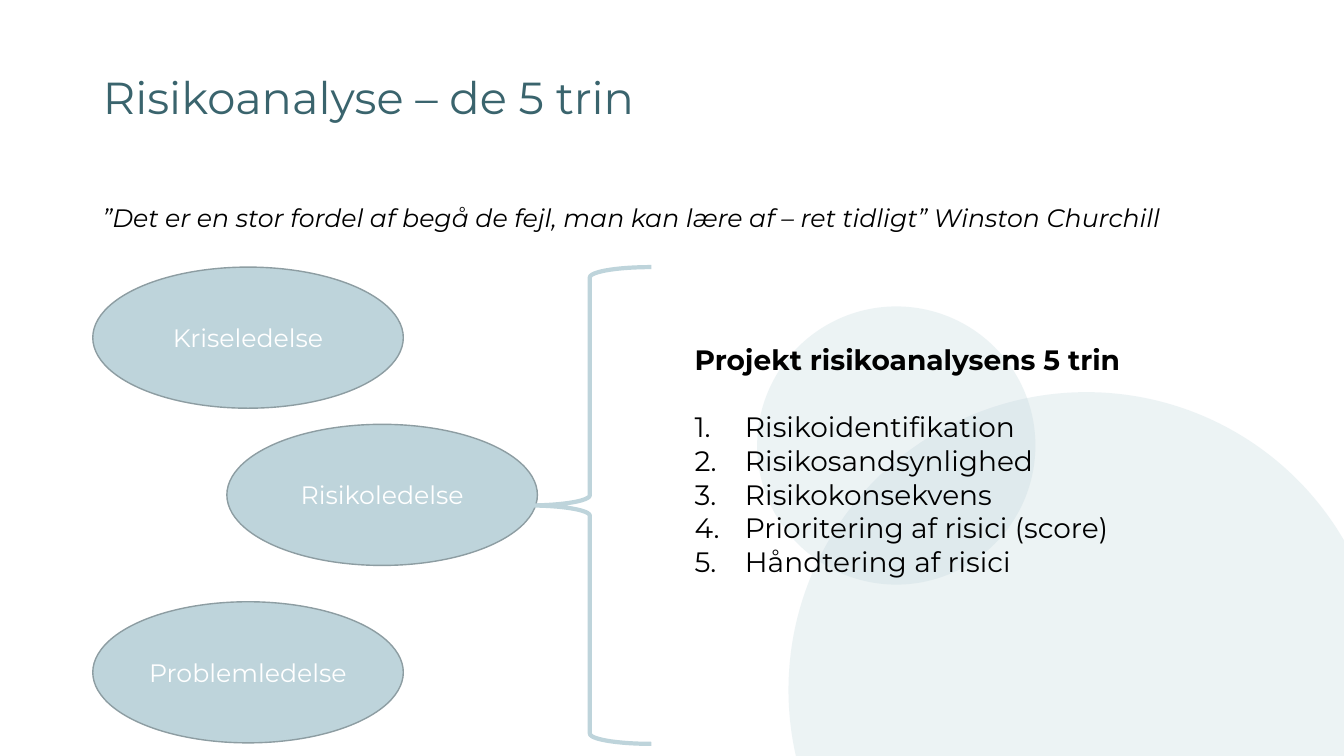
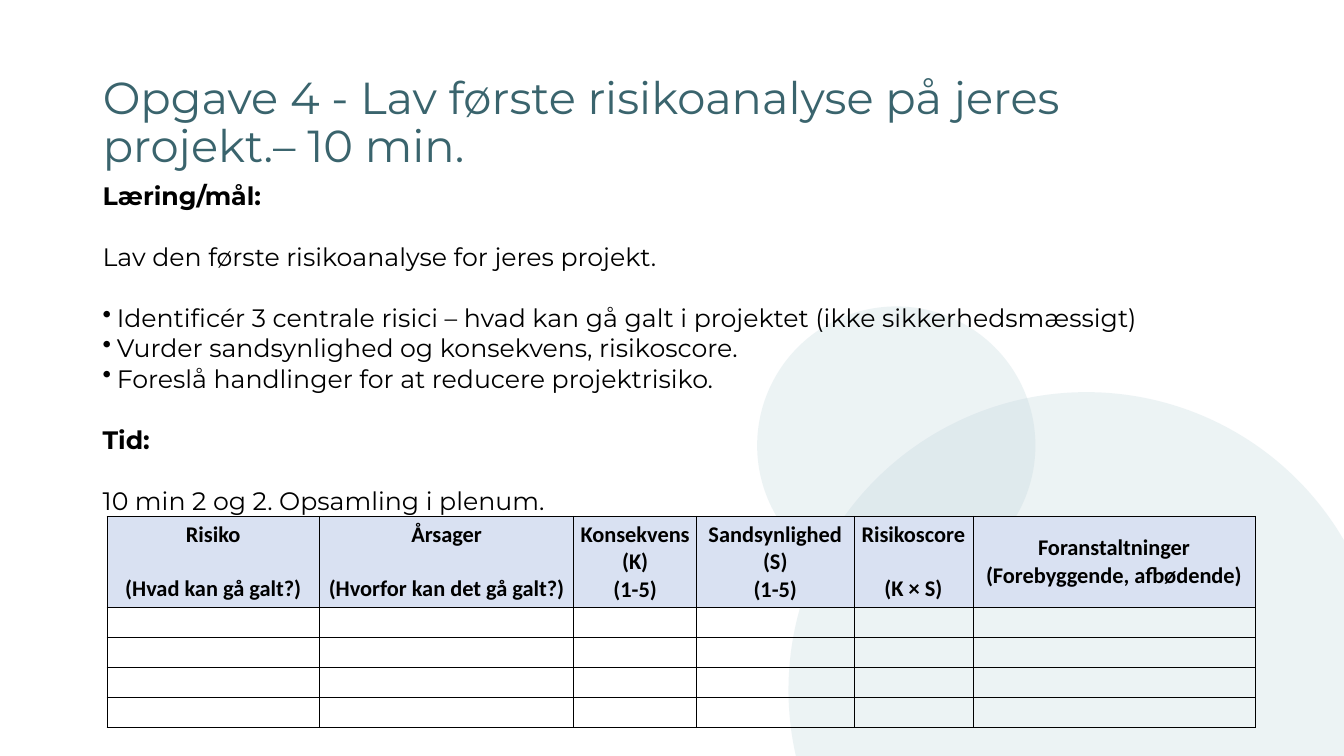
from dataclasses import dataclass
from typing import NamedTuple, Optional

import pptx
import pptx.dml.color
import pptx.enum.shapes
import pptx.enum.text
import pptx.oxml.ns
import pptx.util
from lxml import etree
from pptx.util import Inches

RGB = pptx.dml.color.RGBColor.from_string
SHAPES = pptx.enum.shapes.MSO_SHAPE
ANCHOR = pptx.enum.text.MSO_ANCHOR
ALIGN = pptx.enum.text.PP_ALIGN
qn = pptx.oxml.ns.qn


@dataclass(frozen=True)
class Theme:
    title: str = "3A646D"
    text: str = "000000"
    accent: str = "BED4DB"
    outline: str = "8D9DA2"
    on_accent: str = "FFFFFF"
    header_fill: str = "D9E1F2"
    font: str = "Montserrat"
    table_font: str = "Calibri"
    title_size: int = 32
    steps_size: int = 20
    body_size: int = 18
    table_size: int = 16
    circle_opacity: int = 28


THEME = Theme()


class Box(NamedTuple):
    left: float
    top: float
    width: float
    height: float

    def lengths(self) -> list:
        return [Inches(value) for value in self]


class Line(NamedTuple):
    text: str
    bold: bool = False
    italic: bool = False
    gap: float = 0  # space before, in points
    bullet: Optional[str] = None  # "number" or a bullet character
    indent: float = 0


class Column(NamedTuple):
    width: float
    lines: list
    gap: float = 0  # space between the heading and its explanation


TITLE_BOX = Box(0.92, 0.73, 11.5, 1.01)
CIRCLES = [Box(7.82, 3.89, 5.91, 5.91), Box(7.51, 3.04, 2.76, 2.76)]


# Text helpers
def style(paragraph, size: int, color: str, font: str = THEME.font,
          bold: bool = False, italic: bool = False) -> None:
    paragraph.font.name = font
    paragraph.font.size = pptx.util.Pt(size)
    paragraph.font.color.rgb = RGB(color)
    paragraph.font.bold = bold
    paragraph.font.italic = italic


def add_bullet(paragraph, bullet: str, indent: float) -> None:
    properties = paragraph._p.get_or_add_pPr()
    properties.set("marL", str(Inches(indent)))
    properties.set("indent", str(-Inches(indent)))
    if bullet == "number":
        etree.SubElement(properties, qn("a:buAutoNum"), type="arabicPeriod")
    else:
        etree.SubElement(properties, qn("a:buChar"), char=bullet)


def add_paragraph(frame, index: int):
    return frame.add_paragraph() if index else frame.paragraphs[0]


def add_text(slide, box: Box, lines: list, size: int) -> None:
    frame = slide.shapes.add_textbox(*box.lengths()).text_frame
    frame.word_wrap = True
    for index, line in enumerate(lines):
        paragraph = add_paragraph(frame, index)
        paragraph.text = line.text
        if line.bullet:
            add_bullet(paragraph, line.bullet, line.indent)
        if line.gap:
            paragraph.space_before = pptx.util.Pt(line.gap)
        style(paragraph, size, THEME.text, bold=line.bold, italic=line.italic)


# Parts shared by the slides
def add_slide(deck, title: str):
    slide = deck.slides.add_slide(deck.slide_layouts[5])
    heading = slide.shapes.title
    heading.left, heading.top, heading.width, heading.height = TITLE_BOX.lengths()
    frame = heading.text_frame
    frame.auto_size = pptx.enum.text.MSO_AUTO_SIZE.NONE
    frame.word_wrap = True
    frame.vertical_anchor = ANCHOR.TOP
    frame.margin_top = Inches(0.02)
    paragraph = frame.paragraphs[0]
    paragraph.text = title
    paragraph.alignment = ALIGN.LEFT
    paragraph.line_spacing = 0.9
    style(paragraph, THEME.title_size, THEME.title)
    return slide


def add_ellipse(slide, box: Box):
    ellipse = slide.shapes.add_shape(SHAPES.OVAL, *box.lengths())
    ellipse.shadow.inherit = False
    ellipse.fill.solid()
    ellipse.fill.fore_color.rgb = RGB(THEME.accent)
    return ellipse


def decorate_layout(slide) -> None:
    """Put the translucent circles on the layout the slides share."""
    for number, box in enumerate(CIRCLES, start=20):
        circle = add_ellipse(slide, box)
        circle.line.fill.background()
        color = next(circle.element.iter(qn("a:srgbClr")))
        etree.SubElement(color, qn("a:alpha"), val=str(THEME.circle_opacity * 1000))
        next(circle.element.iter(qn("p:cNvPr"))).set("id", str(number))
        slide.slide_layout.shapes.element.append(circle.element)


# Slide 1: the five steps
def add_discipline(slide, left: float, top: float, label: str) -> None:
    ellipse = add_ellipse(slide, Box(left, top, 3.08, 1.4))
    ellipse.line.color.rgb = RGB(THEME.outline)
    ellipse.line.width = pptx.util.Pt(1)
    ellipse.text_frame.vertical_anchor = ANCHOR.MIDDLE
    paragraph = ellipse.text_frame.paragraphs[0]
    paragraph.text = label
    paragraph.alignment = ALIGN.CENTER
    style(paragraph, THEME.body_size, THEME.on_accent)


def build_steps(deck) -> None:
    slide = add_slide(deck, "Risikoanalyse – de 5 trin")
    decorate_layout(slide)
    quote = ("”Det er en stor fordel af begå de fejl, man kan lære af – "
             "ret tidligt” Winston Churchill")
    add_text(slide, Box(0.92, 1.96, 11.5, 0.5), [Line(quote, italic=True)],
             THEME.body_size)

    for left, top, label in [(0.92, 2.65, "Kriseledelse"),
                             (0.92, 5.97, "Problemledelse"),
                             (2.25, 4.21, "Risikoledelse")]:
        add_discipline(slide, left, top, label)

    brace = slide.shapes.add_shape(SHAPES.LEFT_BRACE,
                                   *Box(5.24, 2.65, 1.22, 4.73).lengths())
    brace.shadow.inherit = False
    brace.fill.background()
    brace.line.color.rgb = RGB(THEME.accent)
    brace.line.width = pptx.util.Pt(3)

    steps = ["Risikoidentifikation", "Risikosandsynlighed", "Risikokonsekvens",
             "Prioritering af risici (score)", "Håndtering af risici"]
    lines = [Line("Projekt risikoanalysens 5 trin", bold=True)]
    lines += [Line(step, gap=0 if index else 24, bullet="number", indent=0.5)
              for index, step in enumerate(steps)]
    add_text(slide, Box(6.79, 3.35, 5.25, 2.46), lines, THEME.steps_size)


# Slide 2: the exercise and its risk table
COLUMNS = [
    Column(2.11, ["Risiko", "(Hvad kan gå galt?)"], 19.5),
    Column(2.52, ["Årsager", "(Hvorfor kan det gå galt?)"], 19.5),
    Column(1.22, ["Konsekvens", "(K)", "(1-5)"]),
    Column(1.56, ["Sandsynlighed (S)", "(1-5)"]),
    Column(1.18, ["Risikoscore", "(K × S)"], 19.5),
    Column(2.8, ["Foranstaltninger", "(Forebyggende, afbødende)"]),
]
ROW_HEIGHTS = [0.9] + [0.3] * 4


def format_cell(cell) -> None:
    cell.margin_left = cell.margin_right = cell.margin_top = Inches(0.01)
    cell.margin_bottom = 0
    cell.vertical_anchor = ANCHOR.MIDDLE
    properties = cell._tc.get_or_add_tcPr()
    for side in ("lnL", "lnR", "lnT", "lnB"):
        border = etree.SubElement(properties, qn(f"a:{side}"),
                                  w=str(pptx.util.Pt(0.5)))
        fill = etree.SubElement(border, qn("a:solidFill"))
        etree.SubElement(fill, qn("a:srgbClr"), val=THEME.text)
    cell.fill.background()
    style(cell.text_frame.paragraphs[0], THEME.table_size, THEME.text,
          THEME.table_font)


def add_risk_table(slide) -> None:
    box = Box(1.06, 5.12, sum(column.width for column in COLUMNS), sum(ROW_HEIGHTS))
    table = slide.shapes.add_table(len(ROW_HEIGHTS), len(COLUMNS),
                                   *box.lengths()).table
    table.first_row = table.horz_banding = False
    for row, height in zip(table.rows, ROW_HEIGHTS):
        row.height = Inches(height)
    for cell in table.iter_cells():
        format_cell(cell)
    for index, column in enumerate(COLUMNS):
        table.columns[index].width = Inches(column.width)
        header = table.cell(0, index)
        header.fill.solid()
        header.fill.fore_color.rgb = RGB(THEME.header_fill)
        for position, text in enumerate(column.lines):
            paragraph = add_paragraph(header.text_frame, position)
            paragraph.text = text
            paragraph.alignment = ALIGN.CENTER
            if position and column.gap:
                paragraph.space_before = pptx.util.Pt(column.gap)
            style(paragraph, THEME.table_size, THEME.text, THEME.table_font, bold=True)


def build_exercise(deck) -> None:
    slide = add_slide(
        deck, "Opgave 4 - Lav første risikoanalyse på jeres projekt.– 10 min.")
    add_risk_table(slide)
    gap = 22
    tasks = [
        "Identificér 3 centrale risici – hvad kan gå galt i projektet "
        "(ikke sikkerhedsmæssigt)",
        "Vurder sandsynlighed og konsekvens, risikoscore.",
        "Foreslå handlinger for at reducere projektrisiko.",
    ]
    lines = [Line("Læring/mål:", bold=True),
             Line("Lav den første risikoanalyse for jeres projekt.", gap=gap)]
    lines += [Line(task, gap=0 if index else gap, bullet="•", indent=0.14)
              for index, task in enumerate(tasks)]
    lines += [Line("Tid:", bold=True, gap=gap),
              Line("10 min 2 og 2. Opsamling i plenum.", gap=gap)]
    add_text(slide, Box(0.92, 1.74, 10.86, 3.43), lines, THEME.body_size)


def main() -> None:
    deck = pptx.Presentation()
    deck.slide_width, deck.slide_height = Inches(13.33), Inches(7.5)
    build_steps(deck)
    build_exercise(deck)
    deck.save("out.pptx")


if __name__ == "__main__":
    main()
